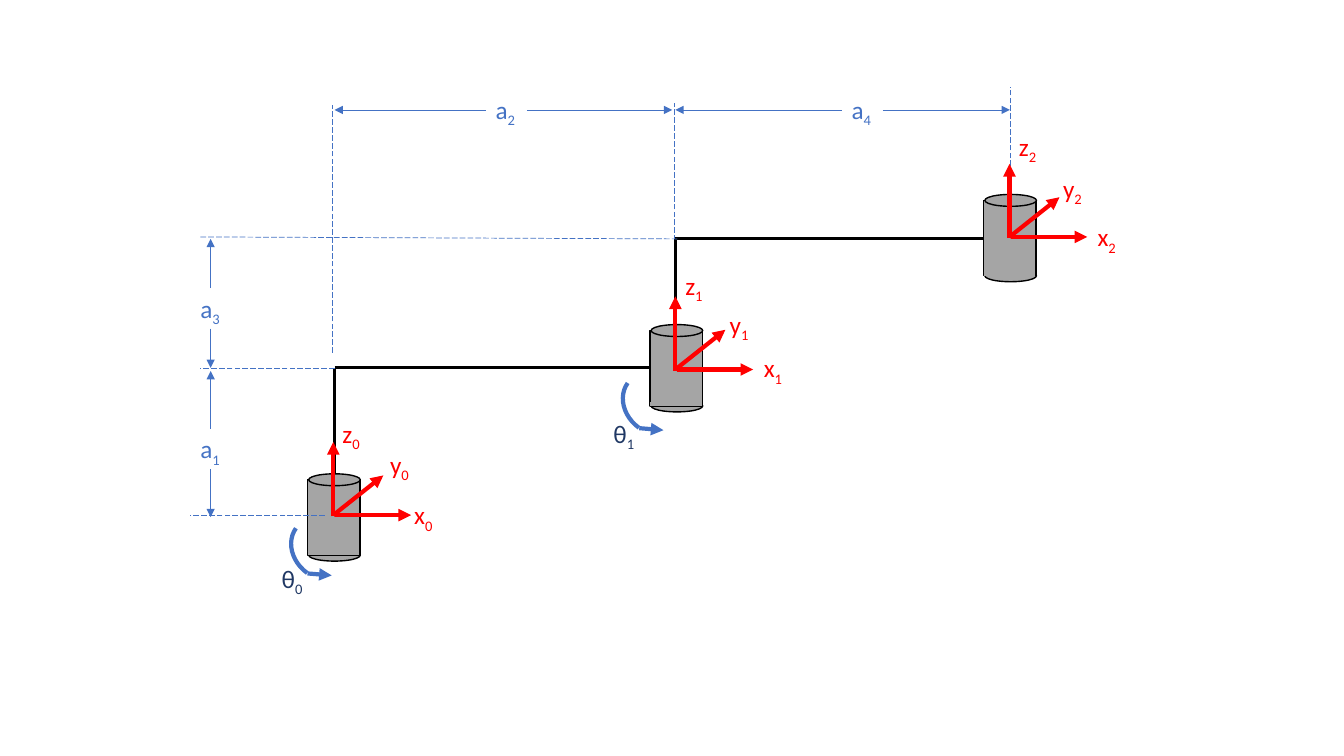
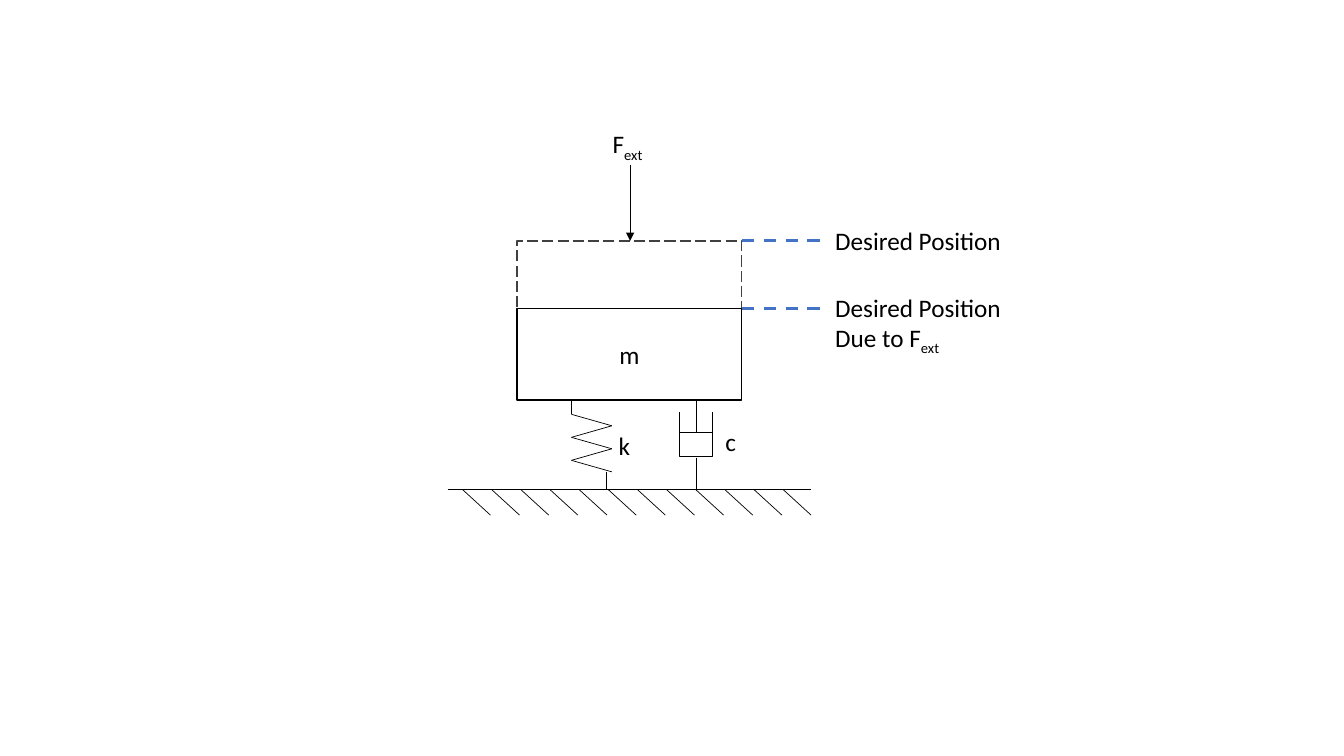
"""Build two mechanics diagrams: a jointed arm and a mass on a spring and damper."""
from itertools import pairwise

from lxml import etree
from pptx import Presentation
from pptx.dml.color import RGBColor
from pptx.enum.dml import MSO_LINE
from pptx.enum.shapes import MSO_CONNECTOR, MSO_SHAPE
from pptx.enum.text import MSO_AUTO_SIZE, PP_ALIGN
from pptx.oxml.ns import qn
from pptx.util import Cm, Pt

STRAIGHT = MSO_CONNECTOR.STRAIGHT
RECT, OVAL, ARC = MSO_SHAPE.RECTANGLE, MSO_SHAPE.OVAL, MSO_SHAPE.ARC
LONG, DASH = MSO_LINE.LONG_DASH, MSO_LINE.DASH
FIT = MSO_AUTO_SIZE.SHAPE_TO_FIT_TEXT
LEFT, CENTER = PP_ALIGN.LEFT, PP_ALIGN.CENTER

HUES = {"black": "000000", "dark": "404040", "white": "FFFFFF", "gray": "A5A5A5",
        "red": "FF0000", "blue": "4472C4", "navy": "203864"}
TONE = {name: RGBColor.from_string(code) for name, code in HUES.items()}


def write(text, page=None, x=0, y=0, w=1.02, h=1.03, tone="black", align=LEFT, shape=None):
    if shape is None:
        shape = page.shapes.add_textbox(Cm(x), Cm(y), Cm(w), Cm(h))
        shape.text_frame.word_wrap = False
        shape.text_frame.auto_size = FIT
    frame = shape.text_frame
    for row, words in enumerate(text.split("\n")):
        para = frame.add_paragraph() if row else frame.paragraphs[0]
        para.alignment = align
        for sub, part in enumerate(words.split("_")):
            run = para.add_run()
            run.text = part
            run.font.name = "Calibri"
            run.font.size = Pt(18)
            run.font.color.rgb = TONE[tone]
            if sub:
                run.font._element.set("baseline", "-25000")


def draw(page, *points, tone="black", width=0.5, dash=None, arrow=False):
    for (x1, y1), (x2, y2) in pairwise(points):
        link = page.shapes.add_connector(STRAIGHT, Cm(x1), Cm(y1), Cm(x2), Cm(y2))
        link.line.color.rgb = TONE[tone]
        link.line.width = Pt(width)
        if dash:
            link.line.dash_style = dash
        if arrow:
            etree.SubElement(link.line._get_or_add_ln(), qn("a:tailEnd"), type="triangle")
        etree.SubElement(link._element.spPr, qn("a:effectLst"))


deck = Presentation()
deck.slide_width, deck.slide_height = Cm(33.87), Cm(19.05)
blank = deck.slide_layouts[6]

arm = deck.slides.add_slide(blank)
for x, low, high in [(25.45, 5.97, 2.18), (16.99, 8.84, 2.59)]:
    draw(arm, (x, low), (x, high), tone="blue", dash=LONG)
draw(arm, (8.43, 13.03), (8.43, 9.27), (17.02, 9.27), (17.02, 6.02), (25.48, 6.02), width=2.25)

joints = [
    ((8.4, 12.98), (7.75, 12.09), {"x": (10.19, 12.47), "y": (9.58, 11.2), "z": (8.38, 10.41)}),
    ((17.02, 9.31), (16.38, 8.33), {"x": (19, 8.76), "y": (18.14, 7.67), "z": (17.02, 6.68)}),
    ((25.44, 5.97), (24.79, 5.05), {"x": (27.41, 5.46), "y": (26.54, 4.24), "z": (25.43, 3.18)}),
]
for index, ((x, y), (left, top), names) in enumerate(joints):
    for kind, dx, dy, w, h in [(OVAL, 0.03, 1.75, 1.3, 0.3), (RECT, 0, 0, 1.32, 1.9),
                               (OVAL, 0.03, -0.15, 1.3, 0.3)]:
        part = arm.shapes.add_shape(kind, Cm(left + dx), Cm(top + dy), Cm(w), Cm(h))
        part.shadow.inherit = False
        part.fill.solid()
        part.fill.fore_color.rgb = TONE["gray"]
        part.line.color.rgb = TONE["black"]
        part.line.width = Pt(1)
    draw(arm, (left, top + 1.85), (left + 1.3, top + 1.85), tone="gray", width=3)
    for start, end in [((x + 0.03, y), (x + 1.96, y)), ((x, y + 0.03), (x, y - 1.84)),
                       ((x, y), (x + 1.26, y - 1))]:
        draw(arm, start, end, tone="red", width=3, arrow=True)
    for axis, (tx, ty) in names.items():
        write(f"{axis}_{index}", arm, tx, ty, tone="red")

for index, (x, y) in enumerate([(7.29, 13.08), (15.65, 9.42)]):
    turn = arm.shapes.add_shape(ARC, Cm(x), Cm(y), Cm(1.78), Cm(1.5))
    turn.shadow.inherit = False
    turn.rotation = 215.7
    turn.fill.background()
    turn.line.color.rgb = TONE["blue"]
    turn.line.width = Pt(3)
    draw(arm, (x + 0.46, y + 1.37), (x + 1.07, y + 1.42), tone="blue", width=3, arrow=True)
    write(f"θ_{index}", arm, x - 0.44, y + 0.99, w=1.07, tone="navy")

for start, end in [((8.43, 9.27), (5.05, 9.27)), ((5.05, 5.97), (17.07, 6.02)),
                   ((8.18, 12.98), (4.8, 12.98)), ((8.38, 8.89), (8.38, 2.64))]:
    draw(arm, start, end, tone="blue", dash=LONG)

for name, x, low, high in [("a_2", 12.24, 8.43, 16.94), ("a_4", 21.21, 17.02, 25.45)]:
    write(name, arm, x, 2.24, w=1.04, tone="blue")
    for start, end in [(x, low), (x + 1.04, high)]:
        draw(arm, (start, 2.77), (end, 2.77), tone="blue", arrow=True)
for name, y, low, high in [("a_3", 7.26, 6.02, 9.27), ("a_1", 10.8, 9.35, 13.03)]:
    write(name, arm, 4.8, y, w=1.04, tone="blue")
    for start, end in [(y, low), (y + 1.02, high)]:
        draw(arm, (5.31, start), (5.31, end), tone="blue", arrow=True)

mass = deck.slides.add_slide(blank)
for text, x, y, w, h, tone, dash in [("", 13.03, 6.07, 5.66, 2.31, "dark", LONG),
                                     ("m", 13.03, 7.77, 5.66, 2.31, "black", None),
                                     ("", 17.12, 10.9, 0.84, 0.61, "black", None)]:
    box = mass.shapes.add_shape(RECT, Cm(x), Cm(y), Cm(w), Cm(h))
    box.shadow.inherit = False
    box.fill.solid()
    box.fill.fore_color.rgb = TONE["white"]
    box.line.color.rgb = TONE[tone]
    box.line.width = Pt(1)
    if dash:
        box.line.dash_style = dash
    if text:
        write(text, shape=box, align=CENTER)

draw(mass, (15.88, 4.17), (15.88, 6.07), arrow=True)
for y in (6.07, 7.77):
    draw(mass, (18.69, y), (20.8, y), tone="blue", width=2.25, dash=DASH)

draw(mass, (11.28, 12.34), (20.45, 12.34))
for step in range(12):
    x = 11.66 + step * 8.08 / 11
    draw(mass, (x, 12.34), (x + 0.7, 12.98))

for x, start, end in [(17.12, 11.2, 10.39), (17.96, 11.2, 10.39), (17.55, 10.9, 10.08),
                      (17.55, 11.53, 12.34), (14.4, 10.44, 10.08), (15.29, 11.89, 12.34)]:
    draw(mass, (x, start), (x, end))
draw(mass, *[((14.4, 15.42)[bend % 2], 10.44 + 0.29 * bend) for bend in range(6)])

for text, x, y, w, h in [("F_ext", 15.19, 3.12, 1.35, 1.03), ("c", 18.03, 10.62, 0.79, 1.03),
                         ("k", 15.34, 10.72, 0.81, 1.03),
                         ("Desired Position", 20.8, 5.56, 4.72, 1.03),
                         ("Desired Position\nDue to F_ext", 20.8, 7.24, 4.72, 1.8)]:
    write(text, mass, x, y, w, h)

deck.save("out.pptx")
